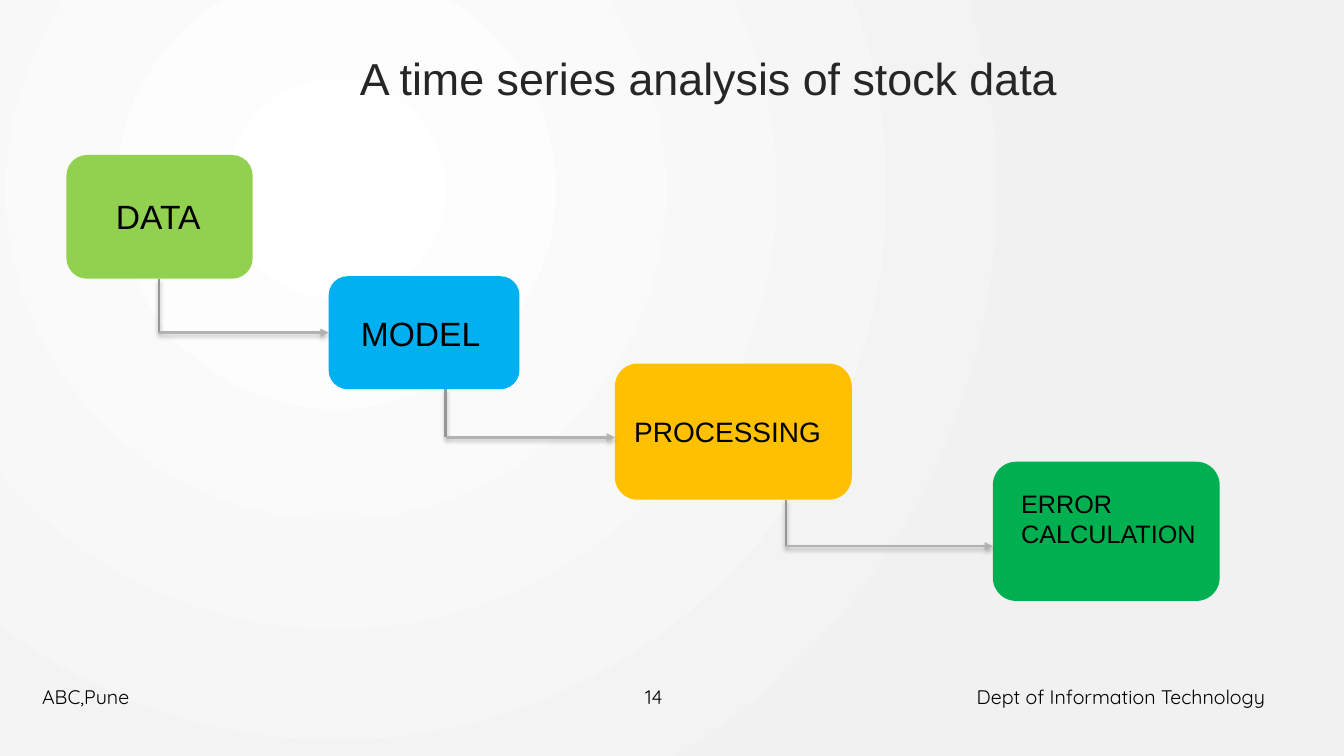
from itertools import pairwise

from lxml.etree import SubElement
from pptx import Presentation
from pptx.dml.color import RGBColor
from pptx.enum.shapes import MSO_CONNECTOR as CONN, MSO_SHAPE as SHAPE
from pptx.enum.text import MSO_ANCHOR as ANCHOR, PP_ALIGN as ALIGN
from pptx.oxml.ns import qn
from pptx.util import Pt

STEPS = [
    {"lines": ["DATA"], "size": 24, "fill": "92D050", "box": (47.5, 110.7, 133, 88.4),
     "inset": (31, 25.2), "exit": 66.2},
    {"lines": ["MODEL"], "size": 24, "fill": "00B0F0", "box": (234.8, 197.3, 136.2, 80.7),
     "inset": (19, 22), "entry": 40.3, "exit": 83.5},
    {"lines": ["PROCESSING"], "size": 20, "fill": "FFC000", "box": (439.2, 259.7, 169.2, 97.2),
     "inset": (9, 31.3), "entry": 52.7, "exit": 122.4},
    {"lines": ["ERROR", "CALCULATION"], "size": 18, "fill": "00B050",
     "box": (709.2, 329.8, 162, 99.4), "inset": (15.4, 13.9), "entry": 60.4},
]
FOOTER = [("ABC,Pune", ALIGN.LEFT), ("14", ALIGN.CENTER),
          ("Dept of Information Technology", ALIGN.RIGHT)]


def rgb(value):
    """Turn a hex string into a colour."""
    return RGBColor.from_string(value)


def add_run(p, text, size, font="Arial", color="000000"):
    """Append one formatted run to a paragraph."""
    r = p.add_run()
    r.text = text
    r.font.size, r.font.name = Pt(size), font
    r.font.color.rgb = rgb(color)


def set_background(s):
    """Fill the slide with a circular gradient centred in its upper left."""
    fill = s.background.fill
    fill.gradient()
    for stop, color in zip(fill.gradient_stops, ("FFFFFF", "F1F1F1")):
        stop.color.rgb = rgb(color)
    grad = s.element.find(".//" + qn("a:gradFill"))
    grad.remove(grad.find(qn("a:lin")))
    circle = SubElement(grad, qn("a:path"), path="circle")
    SubElement(circle, qn("a:fillToRect"), l="50000", t="50000", r="100000", b="100000")


def add_title(s, x, y, w, h):
    """Place and format the slide title."""
    sp = s.shapes.title
    sp.left, sp.top, sp.width, sp.height = Pt(x), Pt(y), Pt(w), Pt(h)
    tf = sp.text_frame
    tf.vertical_anchor = ANCHOR.MIDDLE
    p = tf.paragraphs[0]
    p.alignment = ALIGN.LEFT
    add_run(p, "A time series analysis of stock data", 32, color="262626")


def add_step(s, step):
    """Draw one rounded step box with its label."""
    sp = s.shapes.add_shape(SHAPE.ROUNDED_RECTANGLE, *map(Pt, step["box"]))
    sp.shadow.inherit = False
    sp.fill.solid()
    sp.fill.fore_color.rgb = rgb(step["fill"])
    sp.line.fill.background()
    tf = sp.text_frame
    tf.word_wrap, tf.vertical_anchor = True, ANCHOR.TOP
    tf.margin_left, tf.margin_top = map(Pt, step["inset"])
    tf.margin_right = tf.margin_bottom = 0
    for i, line in enumerate(step["lines"]):
        p = tf.add_paragraph() if i else tf.paragraphs[0]
        p.alignment = ALIGN.LEFT
        add_run(p, line, step["size"])


def add_line(s, x1, y1, x2, y2, color, arrow=False):
    """Draw a straight line with a soft shadow and an optional arrowhead."""
    line = s.shapes.add_connector(CONN.STRAIGHT, Pt(x1), Pt(y1), Pt(x2), Pt(y2))
    line.line.width = Pt(1.75)
    line.line.color.rgb = rgb(color)
    if arrow:
        SubElement(line.line._get_or_add_ln(), qn("a:tailEnd"), type="triangle")
    effects = SubElement(line._element.spPr, qn("a:effectLst"))
    shadow = SubElement(effects, qn("a:outerShdw"), blurRad=str(Pt(3)), dist=str(Pt(2)),
                        dir="5400000", algn="ctr", rotWithShape="0")
    black = SubElement(shadow, qn("a:srgbClr"), val="000000")
    SubElement(black, qn("a:alpha"), val="25000")


def add_link(s, start, end):
    """Lead from the bottom of one step to the left side of the next."""
    x, top, _, h = start["box"]
    end_x, end_top, *_ = end["box"]
    turn_x, turn_y = x + start["exit"], end_top + end["entry"]
    add_line(s, turn_x, top + h, turn_x, turn_y, "969696")
    add_line(s, turn_x, turn_y, end_x, turn_y, "B2B2B2", arrow=True)


def add_footer(s, x, y, w, h):
    """Split the footer band into equal left, centre and right texts."""
    part = w / len(FOOTER)
    for i, (text, align) in enumerate(FOOTER):
        tf = s.shapes.add_textbox(Pt(x + i * part), Pt(y), Pt(part), Pt(h)).text_frame
        tf.word_wrap, tf.vertical_anchor = True, ANCHOR.MIDDLE
        p = tf.paragraphs[0]
        p.alignment = align
        add_run(p, text, 14, "Quicksand")


def main():
    """Build and save the slide."""
    prs = Presentation()
    prs.slide_width, prs.slide_height = Pt(960), Pt(540)
    s = prs.slides.add_slide(prs.slide_layouts[5])
    set_background(s)
    add_title(s, 249.8, 30.2, 524.2, 51.1)
    for step in STEPS:
        add_step(s, step)
    for start, end in pairwise(STEPS):
        add_link(s, start, end)
    add_footer(s, 23, 483.1, 888, 28.8)
    prs.save("out.pptx")


if __name__ == "__main__":
    main()
